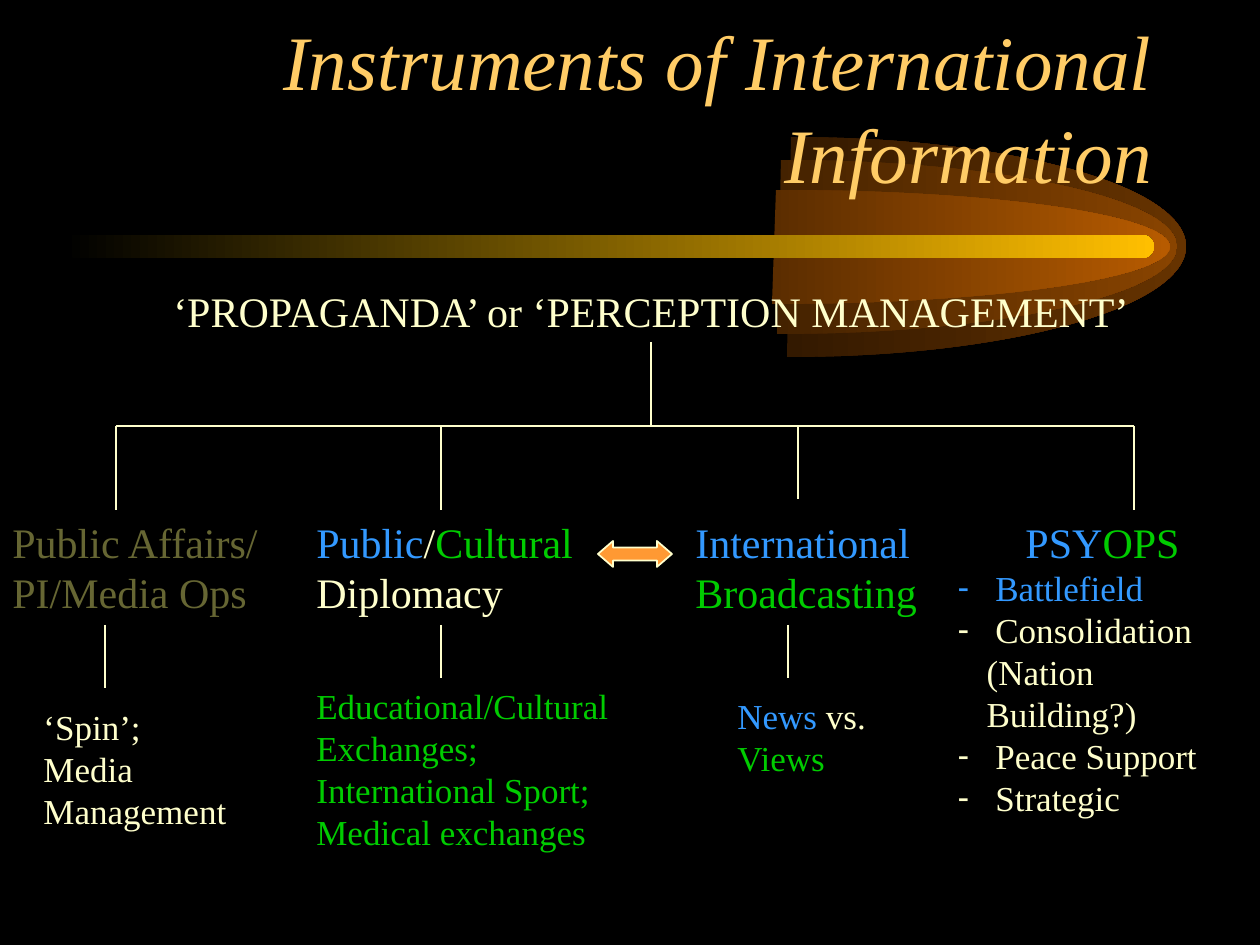
import math

from lxml import etree
from pptx import Presentation
from pptx import util as u
from pptx.dml.color import RGBColor
from pptx.enum import shapes, text
from pptx.oxml.ns import qn

PX = 914400 // 126
FONT = "Times New Roman"
CREAM, BLUE, GREEN, OLIVE = "FFFFCC", "3399FF", "00CC00", "666633"
GOLD, ORANGE, BLACK = "FFCC66", "FF9933", "000000"

# Each paragraph is a list of (words, colour) runs.
TITLE = [[("Instruments of International Information", GOLD)]]
# (box in px, size in pt, alignment, paragraphs)
LABELS = [
    ((155, 279, 992, 63), 24, "CENTER",
     [[("‘PROPAGANDA’ or ‘PERCEPTION MANAGEMENT’", CREAM)]]),
    ((0, 510, 273, 113), 24, "LEFT",
     [[("Public Affairs/", OLIVE)], [("PI/Media Ops", OLIVE)]]),
    ((304, 510, 281, 113), 24, "LEFT",
     [[("Public", BLUE), ("/", CREAM), ("Cultural", GREEN)], [("Diplomacy", CREAM)]]),
    ((683, 510, 247, 113), 24, "LEFT",
     [[("International", BLUE)], [("Broadcasting", GREEN)]]),
    ((304, 678, 318, 181), 20, "LEFT",
     [[(line, GREEN)] for line in ("Educational/Cultural", "Exchanges;",
                                   "International Sport;", "Medical exchanges")]),
    ((725, 688, 154, 97), 20, "LEFT",
     [[("News", BLUE), (" vs.", CREAM)], [("Views", GREEN)]]),
    ((31, 699, 208, 139), 20, "LEFT",
     [[(line, CREAM)] for line in ("‘Spin’;", "Media", "Management")]),
]
PSYOPS = [[("PSY", BLUE), ("OPS", GREEN)]]
PSYOPS_TYPES = [
    [(" Battlefield", BLUE)],
    [(" Consolidation (Nation Building?)", CREAM)],
    [(" Peace Support", CREAM)],
    [(" Strategic", CREAM)],
]

RAIL_Y = 426
RAIL_PARTS = [(651, 116), (651, 851), (851, 1134)]
# (x, top, bottom)
STEMS = [
    (651, 342, RAIL_Y),
    (116, RAIL_Y, 510), (441, RAIL_Y, 510), (798, RAIL_Y, 499), (1134, RAIL_Y, 510),
    (105, 625, 688), (441, 625, 678), (798, 646, 646), (788, 625, 678),
]

COMET_Y = 247
# (middle left x, tip x, half height, left colour, right colour), widest first
COMET_LAYERS = [
    (789, 1186, 110, "331900", "663300"),
    (779, 1177, 87, "442200", "894400"),
    (774, 1170, 57, "5B2D00", "B75B00"),
]
COMET_LEAN = 2
COMET_BAR = (63, 235, 1091, 23)


def rgb(code):
    return RGBColor.from_string(code)


def px(*lengths):
    return [round(length * PX) for length in lengths]


def fade(shape, left_colour, right_colour):
    """Fill a shape with a left-to-right gradient and no outline."""
    shape.shadow.inherit = False
    shape.line.fill.background()
    shape.fill.gradient()
    shape.fill.gradient_angle = 0
    for stop, colour in zip(shape.fill.gradient_stops, (left_colour, right_colour)):
        stop.color.rgb = rgb(colour)


def draw_half_ellipse(slide, centre, tip, half):
    """Draw the right half of a slightly leaning ellipse as three Bézier curves."""
    left, top, bottom = centre - COMET_LEAN, COMET_Y - half, COMET_Y + half
    builder = slide.shapes.build_freeform(*px(left, top), scale=1.0)
    builder.add_line_segments([px(tip, top), px(tip, bottom), px(left, bottom)], close=True)
    shape = builder.convert_to_shape()
    outline = next(shape._element.iter(qn("a:path")))
    for child in list(outline):
        outline.remove(child)

    def add(command, *unit_points):
        step = etree.SubElement(outline, qn(f"a:{command}"))
        for across, down in unit_points:
            x, y = px(centre + (tip - centre) * across - COMET_LEAN * down - left,
                      half * (down + 1))
            etree.SubElement(step, qn("a:pt"), x=str(x), y=str(y))

    def on_arc(degrees, pull=0):
        """Point on the unit circle, moved along its tangent by pull."""
        angle = math.radians(degrees)
        return (math.cos(angle) - pull * math.sin(angle),
                math.sin(angle) + pull * math.cos(angle))

    sweep = 60
    pull = 4 / 3 * math.tan(math.radians(sweep / 4))
    add("moveTo", on_arc(-90))
    for start in range(-90, 90, sweep):
        end = start + sweep
        add("cubicBezTo", on_arc(start, pull), on_arc(end, -pull), on_arc(end))
    add("lnTo", (0, 0))
    add("close")
    return shape


def draw_comet(slide):
    for centre, tip, half, dark, bright in COMET_LAYERS:
        fade(draw_half_ellipse(slide, centre, tip, half), dark, bright)
    bar = slide.shapes.add_shape(shapes.MSO_SHAPE.ROUNDED_RECTANGLE, *px(*COMET_BAR))
    bar.adjustments[0] = 0.5
    fade(bar, BLACK, "FFBF00")


def connect(slide, x1, y1, x2, y2):
    line = slide.shapes.add_connector(shapes.MSO_CONNECTOR.STRAIGHT, *px(x1, y1, x2, y2))
    line.line.color.rgb = rgb(CREAM)
    line.line.width = u.Pt(1)
    etree.SubElement(line._element.spPr, qn("a:effectLst"))


def place(shape, box):
    shape.left, shape.top, shape.width, shape.height = px(*box)


def set_bullet(paragraph, mark, colour):
    """Give the paragraph a bullet, or none when mark is empty."""
    props = paragraph._p.get_or_add_pPr()
    hang = 29 * PX if mark else 0
    props.set("marL", str(hang))
    props.set("indent", str(-hang))
    if not mark:
        etree.SubElement(props, qn("a:buNone"))
        return
    bullet_colour = etree.SubElement(props, qn("a:buClr"))
    etree.SubElement(bullet_colour, qn("a:srgbClr"), val=colour)
    etree.SubElement(props, qn("a:buFontTx"))
    etree.SubElement(props, qn("a:buChar"), char=mark)


def write(shape, paragraphs, size, align="LEFT", anchor="TOP", wrap=True,
          italic=False, bullet="", append=False):
    frame = shape.text_frame
    frame.word_wrap = wrap
    frame.auto_size = text.MSO_AUTO_SIZE.NONE
    frame.vertical_anchor = getattr(text.MSO_ANCHOR, anchor)
    for index, runs in enumerate(paragraphs):
        fresh = append or index > 0
        paragraph = frame.add_paragraph() if fresh else frame.paragraphs[0]
        set_bullet(paragraph, bullet, runs[0][1])
        paragraph.alignment = getattr(text.PP_ALIGN, align)
        paragraph.space_before = u.Pt(0)
        paragraph.line_spacing = u.Pt(size * 1.2)
        for words, colour in runs:
            run = paragraph.add_run()
            run.text = words
            run.font.name = FONT
            run.font.size = u.Pt(size)
            run.font.italic = italic
            run.font.color.rgb = rgb(colour)


def main():
    deck = Presentation()
    deck.slide_width, deck.slide_height = u.Inches(10), u.Inches(7.5)
    slide = deck.slides.add_slide(deck.slide_layouts[1])
    slide.background.fill.solid()
    slide.background.fill.fore_color.rgb = rgb(BLACK)
    title, psyops = slide.placeholders

    draw_comet(slide)
    for placeholder in (title, psyops):  # bring in front of the comet
        slide.shapes._spTree.append(placeholder._element)

    place(title, (94, 48, 1071, 157))
    write(title, TITLE, 44, align="RIGHT", anchor="BOTTOM", italic=True)
    place(psyops, (945, 510, 315, 273))
    write(psyops, PSYOPS, 24, align="CENTER")
    write(psyops, PSYOPS_TYPES, 20, bullet="-", append=True)

    for box, size, align, paragraphs in LABELS:
        label = slide.shapes.add_textbox(*px(*box))
        write(label, paragraphs, size, align=align, wrap=False)

    for start, end in RAIL_PARTS:
        connect(slide, start, RAIL_Y, end, RAIL_Y)
    for x, top, bottom in STEMS:
        connect(slide, x, top, x, bottom)

    exchange = slide.shapes.add_shape(shapes.MSO_SHAPE.LEFT_RIGHT_ARROW, *px(598, 541, 74, 26))
    exchange.adjustments[0], exchange.adjustments[1] = 0.5, 0.58
    exchange.shadow.inherit = False
    exchange.fill.solid()
    exchange.fill.fore_color.rgb = rgb(ORANGE)
    exchange.line.color.rgb = rgb(CREAM)
    exchange.line.width = u.Pt(1)

    deck.save("out.pptx")


if __name__ == "__main__":
    main()
